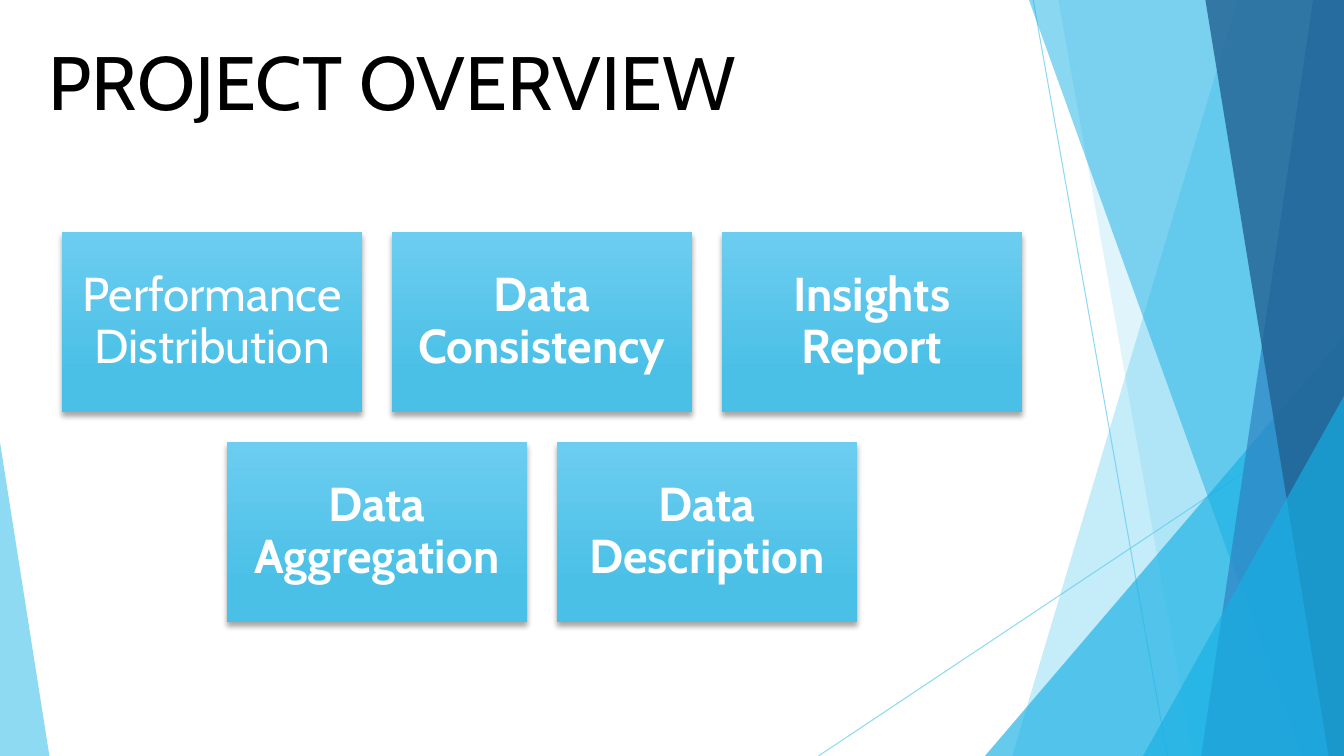
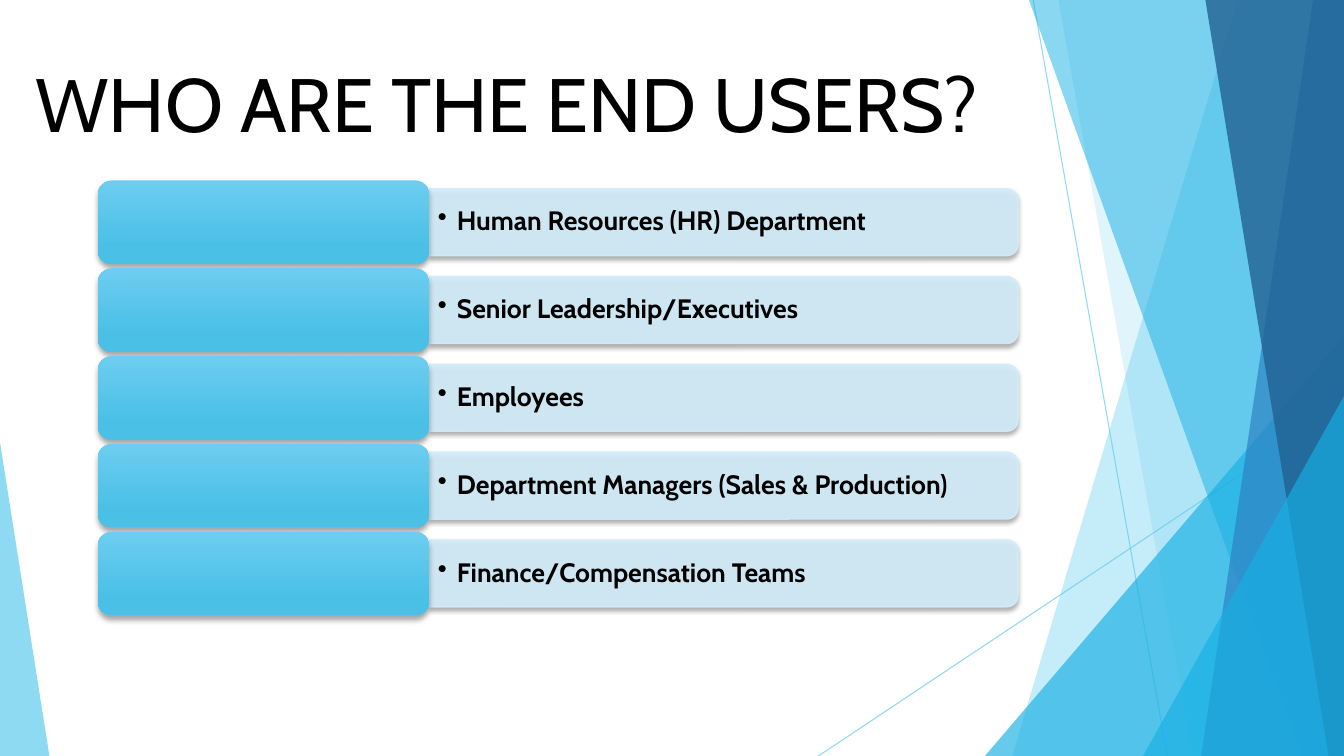
from lxml.etree import SubElement
from pptx import Presentation
from pptx.dml.color import RGBColor
from pptx.enum.shapes import MSO_CONNECTOR, MSO_SHAPE
from pptx.enum.text import MSO_ANCHOR, MSO_AUTO_SIZE, PP_ALIGN
from pptx.oxml.ns import qn
from pptx.util import Pt

# Content: title with its left, top and width, then the items
GOALS = ("PROJECT OVERVIEW", (27.4, 21.6, 562))
TILES = [
    [("Performance Distribution", False), ("Data Consistency", True),
     ("Insights Report", True)],
    [("Data Aggregation", True), ("Data Description", True)],
]
USERS = ("WHO ARE THE END USERS?", (18, 36.7, 698))
TEAMS = [
    "Human Resources (HR) Department",
    "Senior Leadership/Executives",
    "Employees",
    "Department Managers (Sales & Production)",
    "Finance/Compensation Teams",
]

# Look
WIDE, HIGH = 960, 540
FONT = "Cabin"
BLACK, WHITE = "000000", "FFFFFF"
SKY, BLUE, MID, NAVY, PALE = "5FCBEF", "17B0E4", "2E83C3", "226292", "D2ECF9"
GLOW = [(0, "6CCDF0"), (0.78, "4BC0E6")]

# Backdrop, back to front: lines, then wedges (top x, foot x)
# and triangles (left, top, width, apex), each with colour and opacity
LINES = [(738, 0, 833.8, HIGH), (WIDE, 290, 584.6, HIGH)]
FACETS = [
    ((884, 723), SKY, 36),
    ((756, 852), SKY, 20),
    ((703.5, 240, 256.5, 1), BLUE, 66),
    ((735, 929.5), BLUE, 50),
    ((938, 858), MID, 70),
    ((861, 949), NAVY, 80),
    ((816.5, 283, 143.5, 1), BLUE, 66),
    ((0, 316, 35.3, 0), SKY, 70),
]


def color(code):
    return RGBColor.from_string(code)


def fade(shape, pct):
    for tone in shape.element.spPr.iter(qn("a:srgbClr")):
        SubElement(tone, qn("a:alpha"), val=str(pct * 1000))


def paint(shape, code):
    shape.fill.solid()
    shape.fill.fore_color.rgb = color(code)
    shape.line.fill.background()
    shape.shadow.inherit = False


def shade(shape, blur, dist):
    shape.shadow.inherit = False
    effect = shape.element.spPr.find(qn("a:effectLst"))
    outer = SubElement(effect, qn("a:outerShdw"), blurRad=str(Pt(blur)),
                       dist=str(Pt(dist)), dir="5400000", rotWithShape="0")
    tone = SubElement(outer, qn("a:srgbClr"), val=BLACK)
    SubElement(tone, qn("a:alpha"), val="35000")


def add(slide, kind, x, y, w, h):
    return slide.shapes.add_shape(kind, Pt(x), Pt(y), Pt(w), Pt(h))


def glow(slide, kind, x, y, w, h):
    shape = add(slide, kind, x, y, w, h)
    shape.fill.gradient()
    shape.fill.gradient_angle = 270
    for stop, (pos, code) in zip(shape.fill.gradient_stops, GLOW):
        stop.position = pos
        stop.color.rgb = color(code)
    shape.line.fill.background()
    shade(shape, 4, 3)
    return shape


def write(shape, text, size, code, bold=False, align=PP_ALIGN.LEFT,
          anchor=MSO_ANCHOR.MIDDLE, pad=(7.2, 3.6), wrap=True):
    frame = shape.text_frame
    frame.word_wrap = wrap
    frame.auto_size = MSO_AUTO_SIZE.NONE
    frame.vertical_anchor = anchor
    frame.margin_left = frame.margin_right = Pt(pad[0])
    frame.margin_top = frame.margin_bottom = Pt(pad[1])
    para = frame.paragraphs[0]
    para.alignment = align
    run = para.add_run()
    run.text = text
    font = run.font
    font.name, font.size, font.bold = FONT, Pt(size), bold
    font.color.rgb = color(code)
    return para


def start(deck, layout, text, place):
    slide = deck.slides.add_slide(layout)
    title = slide.shapes.title
    title.left, title.top, title.width = map(Pt, place)
    title.height = Pt(72.8)
    write(title, text, 54, BLACK, anchor=MSO_ANCHOR.TOP)
    return slide


def facet(slide, form):
    if len(form) == 2:
        top, foot = form
        pen = slide.shapes.build_freeform(Pt(top), 0)
        pen.add_line_segments([(Pt(WIDE), 0), (Pt(WIDE), Pt(HIGH)),
                               (Pt(foot), Pt(HIGH))], close=True)
        return pen.convert_to_shape()
    x, y, w, apex = form
    shape = add(slide, MSO_SHAPE.ISOSCELES_TRIANGLE, x, y, w, HIGH - y)
    shape.adjustments[0] = apex
    return shape


def backdrop(slide, layout):
    """Draw the shared facets and move them to the layout."""
    parts = []
    for ends in LINES:
        line = slide.shapes.add_connector(MSO_CONNECTOR.STRAIGHT,
                                          *map(Pt, ends))
        line.line.width = Pt(0.75)
        line.line.color.rgb = color(SKY)
        fade(line, 70)
        SubElement(line.element.spPr, qn("a:effectLst"))
        parts.append(line)
    for form, code, pct in FACETS:
        shape = facet(slide, form)
        paint(shape, code)
        fade(shape, pct)
        parts.append(shape)
    for part in parts:
        layout.shapes.element.append(part.element)


def tiles(slide):
    w, h, gap, mid, top = 214.3, 128.6, 21.4, 387.1, 165.7
    for i, row in enumerate(TILES):
        left = mid - (len(row) * (w + gap) - gap) / 2
        for j, (text, bold) in enumerate(row):
            tile = glow(slide, MSO_SHAPE.RECTANGLE, left + j * (w + gap),
                        top + i * (h + gap), w, h)
            para = write(tile, text, 34, WHITE, bold, PP_ALIGN.CENTER,
                         pad=(10, 10))
            para.line_spacing = 0.9


def teams(slide):
    left, top, step = 69.8, 128.9, 62.7
    w, h, wide, tall = 236.9, 59.8, 420.5, 47.8
    edge = left + w
    for i, text in enumerate(TEAMS):
        y = top + i * step
        mid = y + h / 2
        # Bar, turned so that its round corners face right
        bar = add(slide, MSO_SHAPE.ROUND_2_SAME_RECTANGLE,
                  edge + (wide - tall) / 2, mid - wide / 2, tall, wide)
        bar.rotation = 90
        paint(bar, PALE)
        bar.line.color.rgb = color(PALE)
        bar.line.width = Pt(1)
        fade(bar, 90)
        shade(bar, 3, 2)
        # Bulleted label
        box = slide.shapes.add_textbox(Pt(edge), Pt(mid - tall / 2),
                                       Pt(wide), Pt(tall))
        para = write(box, text, 19, BLACK, True, pad=(6, 3))
        para.line_spacing = 0.9
        props = para._p.get_or_add_pPr()
        props.set("marL", str(Pt(13.7)))
        props.set("indent", str(-Pt(13.7)))
        SubElement(props, qn("a:buChar"), char="•")
        # Pill
        glow(slide, MSO_SHAPE.ROUNDED_RECTANGLE, left, y, w, h)


def main():
    deck = Presentation()
    deck.slide_width, deck.slide_height = Pt(WIDE), Pt(HIGH)
    layout = deck.slide_layouts[5]
    for hold in list(layout.placeholders)[1:]:
        layout.shapes.element.remove(hold.element)
    first = start(deck, layout, *GOALS)
    backdrop(first, layout)
    tiles(first)
    teams(start(deck, layout, *USERS))
    deck.save("out.pptx")


if __name__ == "__main__":
    main()
